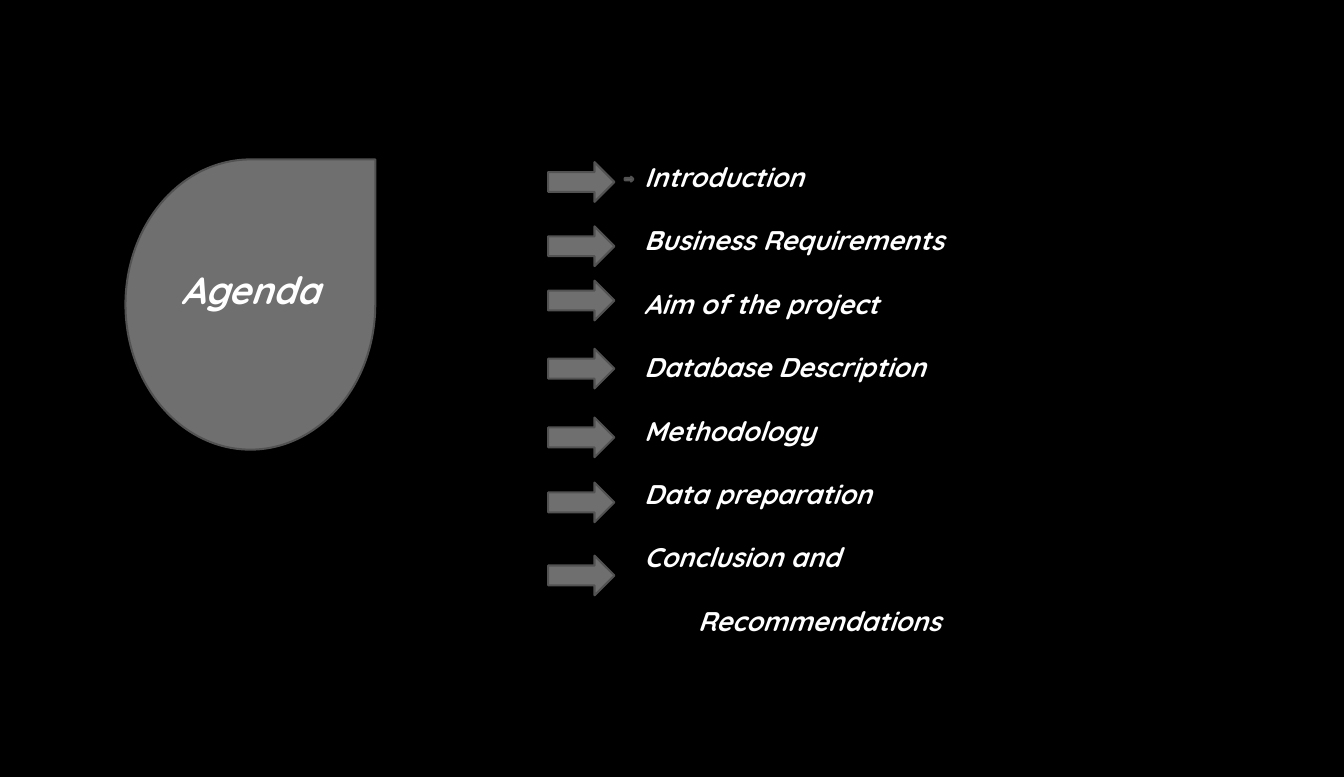
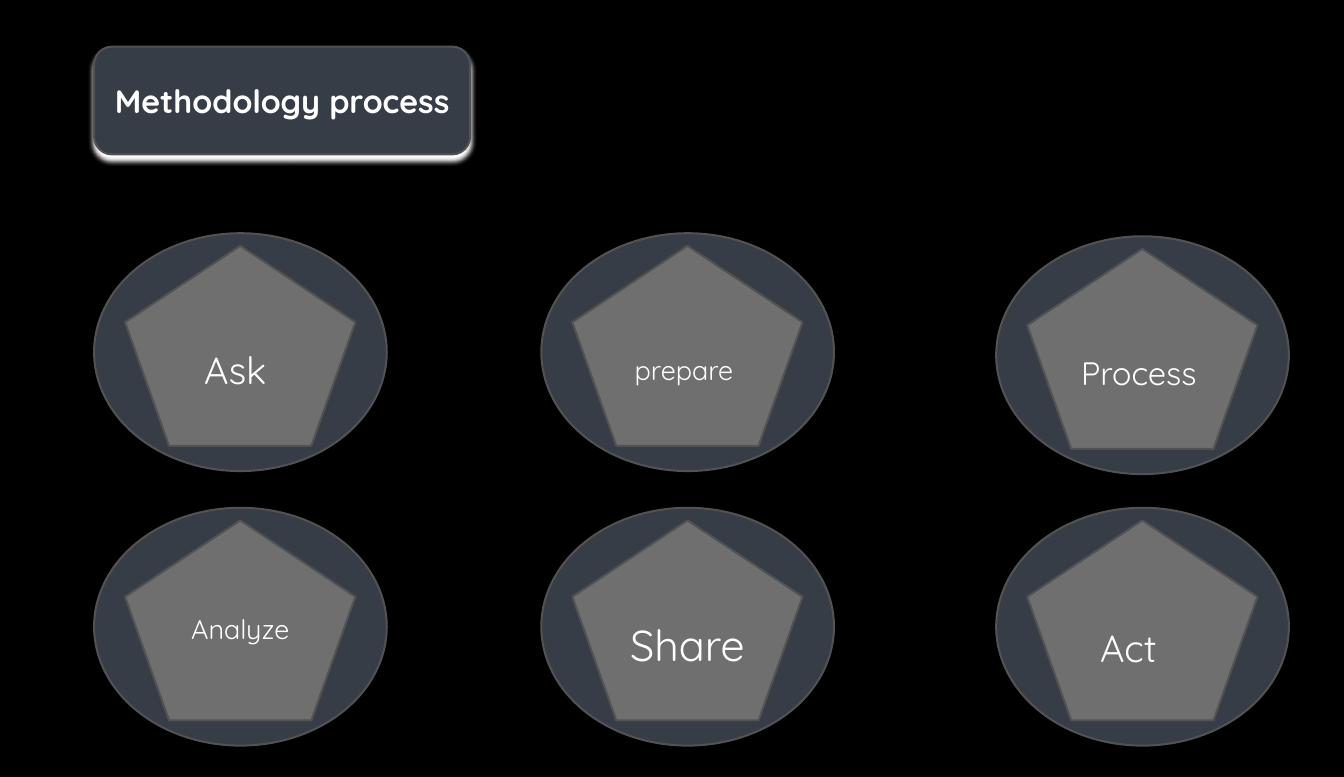
from lxml import etree
from pptx import Presentation
from pptx.dml.color import RGBColor
from pptx.enum.shapes import MSO_SHAPE
from pptx.enum.text import MSO_ANCHOR, PP_ALIGN
from pptx.oxml.ns import qn
from pptx.util import Cm, Pt

TEARDROP = MSO_SHAPE.TEAR
ARROW = MSO_SHAPE.RIGHT_ARROW
ROUNDED = MSO_SHAPE.ROUNDED_RECTANGLE
OVAL = MSO_SHAPE.OVAL
PENTAGON = MSO_SHAPE.REGULAR_PENTAGON
MIDDLE, TOP = MSO_ANCHOR.MIDDLE, MSO_ANCHOR.TOP
CENTER = PP_ALIGN.CENTER

FONT = "Quicksand"
BLACK, WHITE = "000000", "FFFFFF"
GREY, EDGE, SLATE = "6F6F6F", "525252", "363D46"

# Content: agenda lines with their extra indent in cm
AGENDA = [
    ("Introduction", 0),
    ("Business Requirements", 0),
    ("Aim of the project", 0),
    ("Database Description", 0),
    ("Methodology", 0),
    ("Data preparation", 0),
    ("Conclusion and", 0),
    ("Recommendations", 1.4),
]
ARROW_TOPS = [4.24, 5.92, 7.34, 9.12, 10.92, 12.62, 14.53]

# Content: step, text size, right inset, lift of the text (cm), drop of the badge (cm)
STEPS = [
    ("Ask", 28, 0.26, 0, 0),
    ("prepare", 20, 0.18, 0, 0),
    ("Process", 24, 0.18, 0, 0.08),
    ("Analyze", 20, 0, 0.79, 0),
    ("Share", 32, 0, 0, 0),
    ("Act", 28, 0.73, -0.2, 0),
]
COLUMN_LEFTS = [2.46, 14.15, 26.04]
ROW_TOPS = [6.1, 13.28]


def color(hex_text):
    return RGBColor.from_string(hex_text)


def add_slide(deck):
    slide = deck.slides.add_slide(deck.slide_layouts[6])
    slide.background.fill.solid()
    slide.background.fill.fore_color.rgb = color(BLACK)
    return slide


def add_figure(slide, preset, left, top, width, height, fill=GREY):
    figure = slide.shapes.add_shape(preset, Cm(left), Cm(top), Cm(width), Cm(height))
    figure.shadow.inherit = False
    figure.fill.solid()
    figure.fill.fore_color.rgb = color(fill)
    figure.line.color.rgb = color(EDGE)
    figure.line.width = Pt(1.5)
    return figure


def add_text(paragraph, text, size, bold=False, italic=False):
    run = paragraph.add_run()
    run.text = text
    font = run.font
    font.name, font.size = FONT, Pt(size)
    font.bold, font.italic = bold, italic
    font.color.rgb = color(WHITE)


def add_label(figure, text, size, right=0, lift=0, bold=False, italic=False):
    frame = figure.text_frame
    frame.word_wrap = True
    frame.vertical_anchor = MIDDLE
    frame.margin_left, frame.margin_right = 0, Cm(right)
    frame.margin_top, frame.margin_bottom = Cm(0.3), Cm(0.3 + lift)
    paragraph = frame.paragraphs[0]
    paragraph.alignment = CENTER
    add_text(paragraph, text, size, bold, italic)


def add_glow_below(figure):
    effects = figure._element.spPr.find(qn("a:effectLst"))
    shadow = etree.SubElement(effects, qn("a:outerShdw"), blurRad=str(Pt(4)),
                              dist=str(Pt(4)), dir="5400000", algn="t", rotWithShape="0")
    etree.SubElement(shadow, qn("a:srgbClr"), val=WHITE)


def build_agenda(deck):
    slide = add_slide(deck)
    drop = add_figure(slide, TEARDROP, 3.28, 4.17, 6.53, 7.59)
    add_label(drop, "Agenda", 28, lift=0.79, bold=True, italic=True)

    # Agenda lines
    topics = slide.shapes.add_textbox(Cm(14.6), Cm(3.23), Cm(14.05), Cm(15.39))
    frame = topics.text_frame
    frame.word_wrap = True
    frame.vertical_anchor = TOP
    frame.margin_left, frame.margin_top = Cm(2.24), Cm(0.97)
    for number, (topic, indent) in enumerate(AGENDA):
        paragraph = frame.add_paragraph() if number else frame.paragraphs[0]
        if number:
            paragraph.space_before = Pt(23)
        paragraph._p.get_or_add_pPr().set("marL", str(Cm(indent)))
        add_text(paragraph, topic, 20, bold=True, italic=True)

    # Arrows
    add_figure(slide, ARROW, 16.33, 4.62, 0.23, 0.13)
    for top in ARROW_TOPS:
        add_figure(slide, ARROW, 14.33, top, 1.73, 1.04)


def build_methodology(deck):
    slide = add_slide(deck)
    title = add_figure(slide, ROUNDED, 2.46, 1.22, 9.83, 2.82, SLATE)
    add_glow_below(title)
    add_label(title, "Methodology process", 24, bold=True)

    # Badges in a grid of three columns
    for number, (step, size, right, lift, fall) in enumerate(STEPS):
        row, column = divmod(number, len(COLUMN_LEFTS))
        left, top = COLUMN_LEFTS[column], ROW_TOPS[row] + fall
        add_figure(slide, OVAL, left, top, 7.65, 6.22, SLATE)
        badge = add_figure(slide, PENTAGON, left + 0.81, top + 0.33, 6.02, 5.23)
        add_label(badge, step, size, right, lift)


def main():
    deck = Presentation()
    deck.slide_width, deck.slide_height = Cm(35.13), Cm(20.32)
    build_agenda(deck)
    build_methodology(deck)
    deck.save("out.pptx")


if __name__ == "__main__":
    main()
